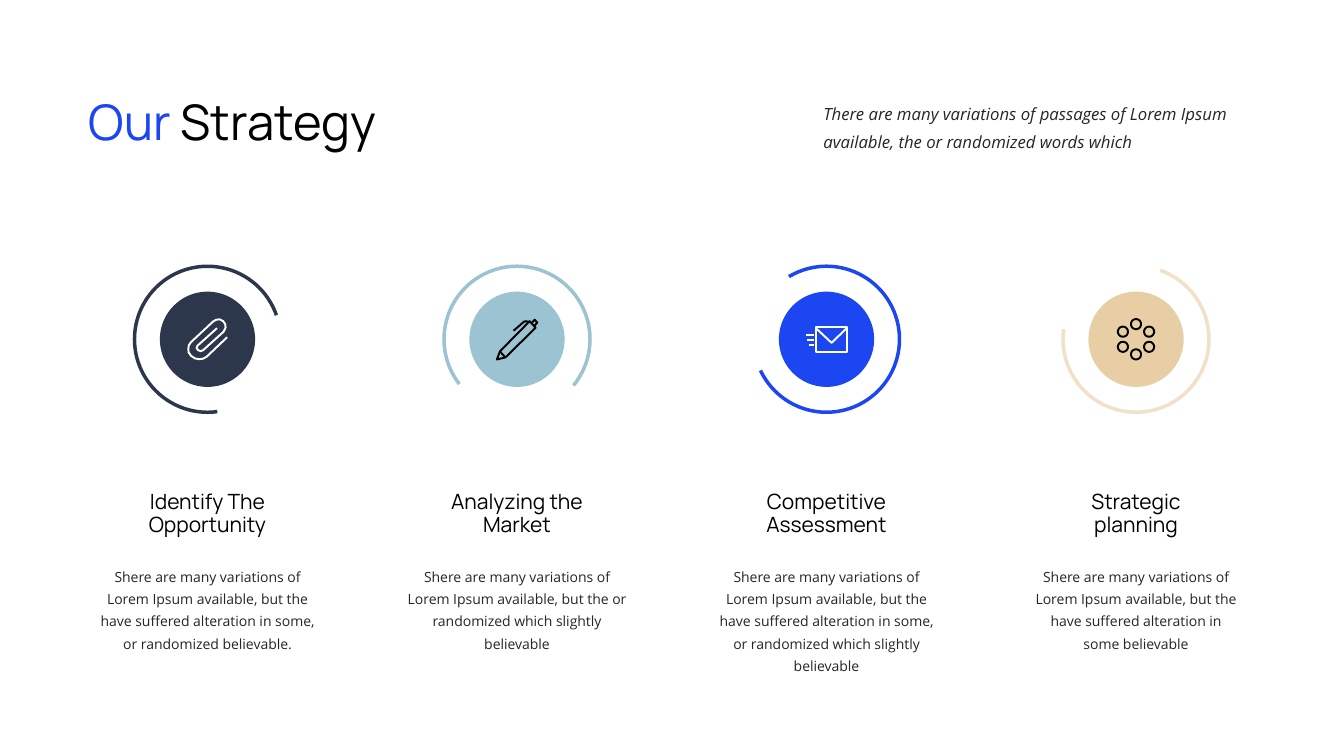
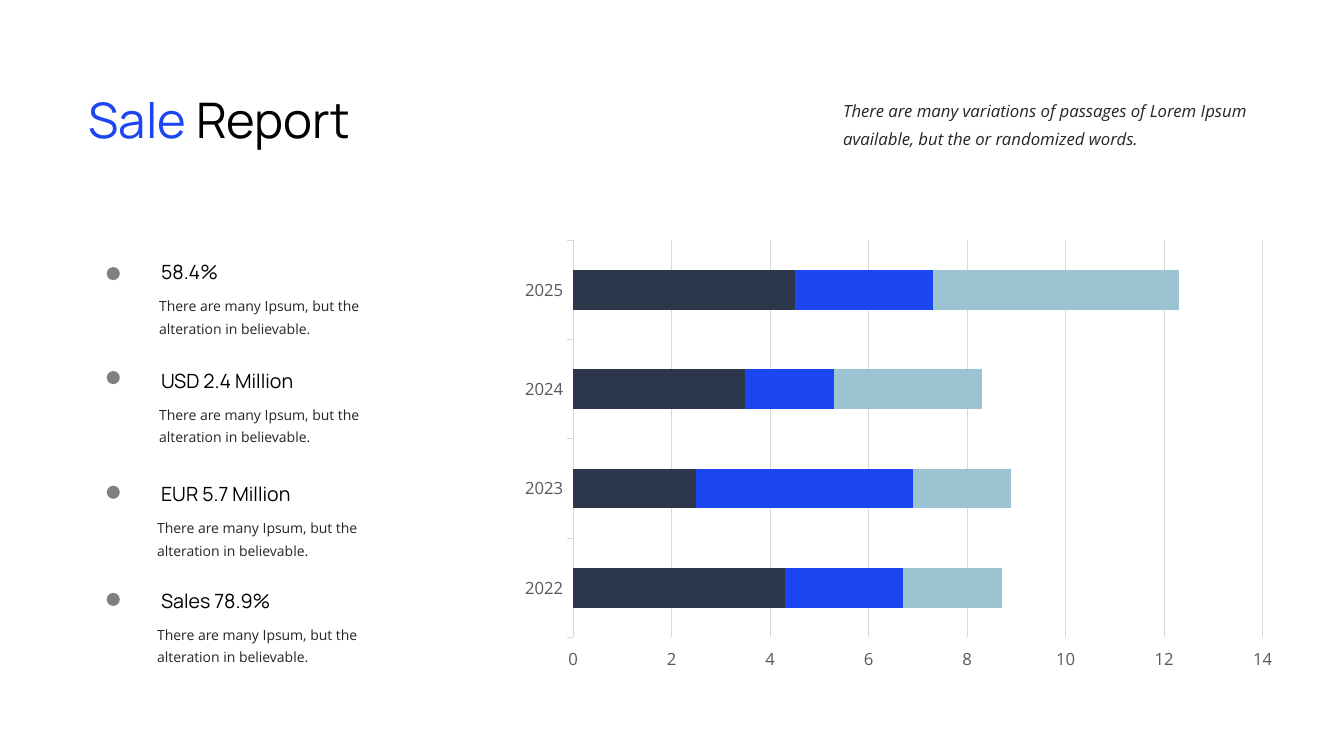
"""Builds a strategy slide and a sales report slide that share one style."""
import math

from lxml import etree
from pptx import Presentation
from pptx import util as u
from pptx.chart.data import CategoryChartData
from pptx.dml.color import RGBColor
from pptx.enum import chart as charts, shapes, text
from pptx.oxml import parse_xml
from pptx.oxml.ns import nsdecls

Cm, Pt = u.Cm, u.Pt
NAVY, BLUE, TEAL, SAND, CREAM = "2D374B", "1C46F2", "9BC3D2", "E7CEA5", "F0E1C8"
BLACK, WHITE, BODY, DOT, LABEL, GRID = "000000", "FFFFFF", "262626", "808080", "595959", "D9D9D9"
HEAD_FONT, BODY_FONT = "Manrope", "Open Sans"
LEFT, CENTER = text.PP_ALIGN.LEFT, text.PP_ALIGN.CENTER


def ring(x, y, radius=50, steps=32):
    """Return the points of a closed circle."""
    turns = [2 * math.pi * step / steps for step in range(steps + 1)]
    return [(x + radius * math.cos(turn), y + radius * math.sin(turn)) for turn in turns]


MIL = 914.4
CLIP = [[(195, -20), (-10, 175), (-45, 193), (-80, 198), (-125, 190), (-162, 165), (-187, 130),
         (-190, 95), (-185, 60), (-165, 30), (55, -175), (85, -193), (120, -198), (155, -180),
         (176, -150), (180, -115), (160, -75), (-45, 110), (-68, 118), (-92, 108), (-108, 88),
         (-100, 65), (95, -110)]]
PEN = [[(-200, 200), (-170, 120), (125, -180), (185, -115), (-115, 180), (-200, 200)],
       [(-170, 120), (-115, 180)],
       [(145, -160), (175, -195), (202, -165), (170, -135)],
       [(-35, -85), (70, -175), (90, -180), (115, -170)]]
ENVELOPE = [[(-105, -120), (200, -120), (200, 130), (-105, 130), (-105, -120)],
            [(-105, -110), (50, 35), (200, -110)],
            [(-205, -40), (-120, -40)], [(-190, 10), (-120, 10)], [(-175, 60), (-120, 60)]]
DOTS = [ring(150 * math.sin(math.radians(angle)), 150 * math.cos(math.radians(angle)))
        for angle in range(0, 360, 60)]

STRATEGY = {"title": ("Our", " Strategy"), "title_box": (1.98, 2.08, 10.34, 1.8),
            "intro": "There are many variations of passages of Lorem Ipsum available, "
                     "the or randomized words which",
            "intro_box": (20.5, 2.29, 10.95, 1.63)}
REPORT = {"title": ("Sale", " Report"), "title_box": (1.98, 2.03, 8.69, 1.8),
          "intro": "There are many variations of passages of Lorem Ipsum available, "
                   "but the or randomized words.",
          "intro_box": (21, 2.21, 11.18, 1.63)}

LOREM = "Shere are many variations of Lorem Ipsum available, but the "
STEPS = [
    ("Identify The Opportunity", 4.6, LOREM + "have suffered alteration in some, or randomized believable.",
     NAVY, NAVY, (82.28, 340.78), CLIP, WHITE),
    ("Analyzing the Market", 4.6, LOREM + "or randomized which slightly believable",
     TEAL, TEAL, (142.2, 39.26), PEN, BLACK),
    ("Competitive Assessment", 4.6,
     LOREM + "have suffered alteration in some, or randomized which slightly believable",
     BLUE, BLUE, (239.05, 154.67), ENVELOPE, WHITE),
    ("Strategic planning", 3.68, LOREM + "have suffered alteration in\nsome believable",
     SAND, CREAM, (289.26, 188.05), DOTS, BLACK),
]
FIRST_X, STEP_X, CIRCLE_Y = 5.23, 7.8, 8.55

FIGURES = [("58.4%", 6.45, 3.76, 6.73), ("USD 2.4 Million", 9.19, 3.76, 9.35),
           ("EUR 5.7 Million", 12.04, 3.71, 12.24), ("Sales 78.9%", 14.73, 3.71, 14.94)]
FIGURE_TEXT = "There are many Ipsum, but the\nalteration in believable."

YEARS = ["2022", "2023", "2024", "2025"]
SERIES = [("Series 1", (4.3, 2.5, 3.5, 4.5), NAVY), ("Series 2", (2.4, 4.4, 1.8, 2.8), BLUE),
          ("Series 3", (2, 2, 3, 5), TEAL)]
PLOT = {"x": 0.06, "y": 0.1, "w": 0.92, "h": 0.69}
PLOT.update(y=0.104, h=0.69)


def rgb(color):
    """Turn a hex string into a colour."""
    return RGBColor.from_string(color)


def style(font, name, size, color, italic=False):
    """Set the look of a font."""
    font.name, font.size, font.italic = name, Pt(size), italic
    font.color.rgb = rgb(color)


def add_text(slide, words, box, name, size, color, spacing, align=LEFT, italic=False, heading=False):
    """Add a wrapped text box; headings have no margins and sit in the middle."""
    frame = slide.shapes.add_textbox(*map(Cm, box)).text_frame
    frame.word_wrap = True
    if heading:
        frame.margin_left = frame.margin_right = frame.margin_top = frame.margin_bottom = 0
        frame.vertical_anchor = text.MSO_ANCHOR.MIDDLE
    frame.text = words
    for paragraph in frame.paragraphs:
        paragraph.alignment, paragraph.line_spacing = align, spacing
        style(paragraph.font, name, size, color, italic)


def add_slide(presentation, content):
    """Add a slide with the shared two-colour title and italic introduction."""
    slide = presentation.slides.add_slide(presentation.slide_layouts[5])
    title = slide.shapes.title
    title.left, title.top, title.width, title.height = map(Cm, content["title_box"])
    frame = title.text_frame
    frame.auto_size, frame.word_wrap = text.MSO_AUTO_SIZE.NONE, True
    frame.vertical_anchor = text.MSO_ANCHOR.TOP
    paragraph = frame.paragraphs[0]
    paragraph.alignment, paragraph.line_spacing = LEFT, Pt(45)
    for words, color in zip(content["title"], (BLUE, BLACK)):
        run = paragraph.add_run()
        run.text = words
        style(run.font, HEAD_FONT, 35, color)
    add_text(slide, content["intro"], content["intro_box"], BODY_FONT, 12, BODY, Pt(20), italic=True)
    return slide


def outline(shape, color, width):
    """Leave a shape unfilled and draw its line."""
    shape.shadow.inherit = False
    shape.fill.background()
    shape.line.color.rgb, shape.line.width = rgb(color), Pt(width)


def add_disc(slide, left, top, size, color):
    """Add a filled circle without a line."""
    disc = slide.shapes.add_shape(shapes.MSO_SHAPE.OVAL, Cm(left), Cm(top), Cm(size), Cm(size))
    disc.shadow.inherit = False
    disc.fill.solid()
    disc.fill.fore_color.rgb = rgb(color)
    disc.line.fill.background()


def add_arc(slide, x, y, size, angles, color):
    """Add an arc that runs clockwise between two angles in degrees."""
    arc = slide.shapes.add_shape(shapes.MSO_SHAPE.ARC, Cm(x - size / 2), Cm(y - size / 2), Cm(size), Cm(size))
    for index, angle in enumerate(angles):
        arc.adjustments[index] = angle * 0.6
    outline(arc, color, 2.5)


def add_icon(slide, x, y, strokes, color):
    """Draw strokes, in thousandths of an inch around a centre, as one outline."""
    builder = slide.shapes.build_freeform(*strokes[0][0], scale=MIL)
    for index, stroke in enumerate(strokes):
        if index:
            builder.move_to(*stroke[0])
        builder.add_line_segments(stroke[1:], close=False)
    outline(builder.convert_to_shape(Cm(x), Cm(y)), color, 1.4)


def add_chart(slide):
    """Add the stacked bar chart of yearly sales."""
    data = CategoryChartData()
    data.categories = YEARS
    for name, values, _ in SERIES:
        data.add_series(name, values)
    chart = slide.shapes.add_chart(charts.XL_CHART_TYPE.BAR_STACKED, Cm(13.23), Cm(4.55),
                                   Cm(18.97), Cm(14.5), data).chart
    chart.has_legend = chart.has_title = False
    style(chart.font, BODY_FONT, 12, LABEL)
    plot = chart.plots[0]
    plot.gap_width, plot.overlap, plot.vary_by_categories = 150, 100, False
    for series, (_, _, color) in zip(plot.series, SERIES):
        series.format.fill.solid()
        series.format.fill.fore_color.rgb = rgb(color)
    years, amounts = chart.category_axis, chart.value_axis
    amounts.minimum_scale, amounts.maximum_scale, amounts.major_unit = 0, 14, 2
    amounts.has_major_gridlines = True
    amounts.format.line.fill.background()
    for line in (years.format.line, amounts.major_gridlines.format.line):
        line.color.rgb, line.width = rgb(GRID), Pt(0.75)
    for axis in (years, amounts):
        axis.major_tick_mark = charts.XL_TICK_MARK.OUTSIDE
    area = chart.element.chart.plotArea
    for old in area.findall("{*}layout"):
        area.remove(old)
    layout = parse_xml(f"<c:layout {nsdecls('c')}><c:manualLayout><c:layoutTarget val='inner'/>"
                       "<c:xMode val='edge'/><c:yMode val='edge'/></c:manualLayout></c:layout>")
    for key, value in PLOT.items():
        tag = etree.QName(layout).namespace
        etree.SubElement(layout[0], f"{{{tag}}}{key}").set("val", str(value))
    area.insert(0, layout)


def build_strategy(presentation):
    """Build the four-step strategy slide."""
    slide = add_slide(presentation, STRATEGY)
    for index, (heading, width, words, fill, line, angles, icon, ink) in enumerate(STEPS):
        x = FIRST_X + index * STEP_X
        add_arc(slide, x, CIRCLE_Y, 3.68, angles, line)
        add_disc(slide, x - 1.2, CIRCLE_Y - 1.2, 2.4, fill)
        add_icon(slide, x, CIRCLE_Y, icon, ink)
        add_text(slide, heading, (x - width / 2, 12.37, width, 1.17), HEAD_FONT, 15, BLACK, 0.9,
                 CENTER, heading=True)
        add_text(slide, words, (x - 3.01, 14.05, 6.02, 2.5), BODY_FONT, 10, BODY, Pt(16), CENTER)


def build_report(presentation):
    """Build the sales report slide."""
    slide = add_slide(presentation, REPORT)
    for heading, top, text_left, dot_top in FIGURES:
        add_disc(slide, 2.69, dot_top, 0.33, DOT)
        add_text(slide, heading, (4.06, top, 5.23, 0.69), HEAD_FONT, 14, BLACK, Pt(20), heading=True)
        add_text(slide, FIGURE_TEXT, (text_left, top + 0.79, 6.5, 1.35), BODY_FONT, 10, BODY, Pt(16))
    add_chart(slide)


def main():
    """Build and save the presentation."""
    presentation = Presentation()
    presentation.slide_width, presentation.slide_height = Cm(33.87), Cm(19.05)
    build_strategy(presentation)
    build_report(presentation)
    presentation.save("out.pptx")


if __name__ == "__main__":
    main()
